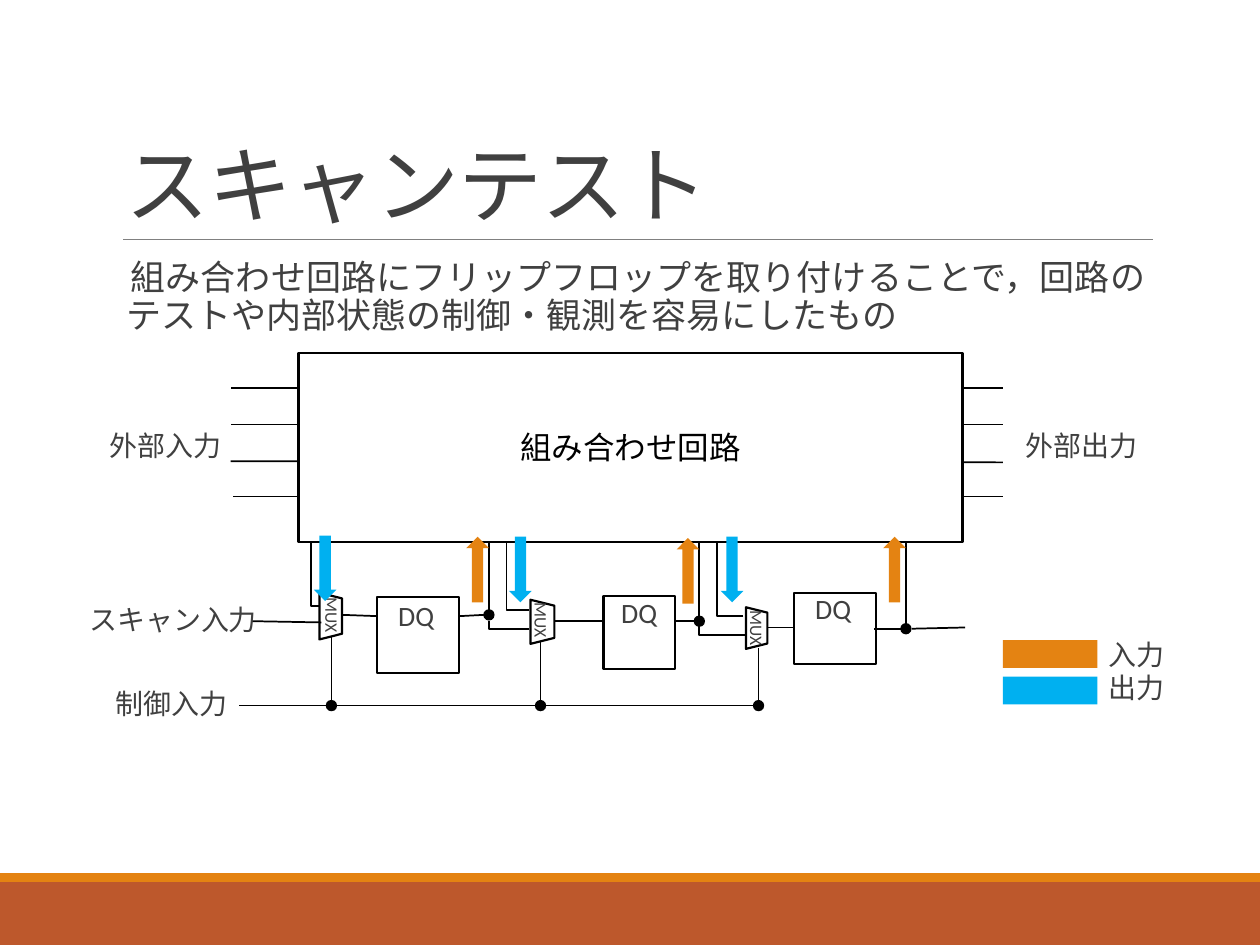
from dataclasses import dataclass
from typing import NamedTuple, Optional

from lxml import etree
from pptx import Presentation
from pptx.dml.color import RGBColor
from pptx.enum.shapes import MSO_CONNECTOR, MSO_SHAPE
from pptx.enum.text import MSO_ANCHOR, PP_ALIGN
from pptx.oxml.ns import qn
from pptx.util import Inches, Pt

RECT = MSO_SHAPE.RECTANGLE
TRAPEZOID = MSO_SHAPE.TRAPEZOID
DOT = MSO_SHAPE.FLOWCHART_CONNECTOR
ARROW = MSO_SHAPE.RIGHT_ARROW
STRAIGHT = MSO_CONNECTOR.STRAIGHT
ELBOW = MSO_CONNECTOR.ELBOW


@dataclass(frozen=True)
class Theme:
    font: str = "Calibri"
    ink: str = "000000"
    paper: str = "FFFFFF"
    text: str = "404040"
    rule: str = "808080"
    footer: str = "BD582C"
    input: str = "E48312"
    output: str = "00B0F0"
    title: float = 48
    body: float = 20
    block: float = 18
    label: float = 16
    mux: float = 10
    wire: float = 1
    outline: float = 1.25
    hairline: float = 0.5


class Box(NamedTuple):
    x: float
    y: float
    w: float
    h: float


class Wire(NamedTuple):
    x1: float
    y1: float
    x2: float
    y2: float


class Label(NamedTuple):
    text: str
    box: Box


class Stage(NamedTuple):
    mux: Box
    mux_label: Box
    dq: Box
    dq_label: Box
    feed: Wire
    mux_to_dq: Wire
    dq_out: Wire
    junction: tuple[float, float]
    riser_top: float
    control: tuple[float, float]
    control_top: float
    output_arrow: tuple[float, float]
    input_arrow: tuple[float, float]


T = Theme()
DOT_SIZE = 0.09
ARROW_W, ARROW_H = 0.52, 0.18
CONTROL_Y = 5.6

STAGES = [
    Stage(Box(2.44, 4.8, 0.37, 0.18), Box(2.4, 4.71, 0.39, 0.26),
          Box(2.99, 4.74, 0.65, 0.6), Box(3.05, 4.73, 0.64, 0.34),
          Wire(2.47, 4.17, 2.54, 4.81), Wire(2.72, 4.88, 2.99, 4.89),
          Wire(3.84, 4.88, 3.65, 4.89), (3.88, 4.88), 4.14,
          (2.63, 5.6), 5.05, (2.32, 4.42), (3.53, 4.43)),
    Stage(Box(4.13, 4.84, 0.35, 0.19), Box(4.06, 4.75, 0.39, 0.26),
          Box(4.79, 4.73, 0.57, 0.58), Box(4.82, 4.71, 0.64, 0.34),
          Wire(4.02, 4.27, 4.2, 4.84), Wire(4.4, 4.93, 4.79, 4.93),
          Wire(5.51, 4.93, 5.35, 4.93), (5.55, 4.93), 4.18,
          (4.29, 5.6), 5.09, (3.87, 4.43), (5.2, 4.44)),
    Stage(Box(5.84, 4.9, 0.33, 0.17), Box(5.77, 4.81, 0.39, 0.26),
          Box(6.3, 4.71, 0.65, 0.56), Box(6.36, 4.68, 0.64, 0.34),
          Wire(5.69, 4.31, 5.9, 4.89), Wire(6.09, 4.98, 6.3, 4.98),
          Wire(7.15, 4.99, 6.94, 4.99), (7.19, 4.99), 4.09,
          (6.02, 5.6), 5.14, (5.55, 4.43), (6.84, 4.43)),
]
SCAN_LINKS = [Wire(3.88, 4.93, 4.2, 4.99), Wire(5.55, 4.97, 5.91, 5.04)]
SCAN_ENDS = [Wire(2.55, 4.94, 2, 4.93), Wire(7.66, 4.98, 7.24, 4.99)]
BUSES = [Wire(7.96, 3.08, 1.83, 3.08), Wire(7.96, 3.37, 1.83, 3.37),
         Wire(7.96, 3.67, 1.83, 3.66), Wire(7.96, 3.94, 1.85, 3.94)]
LABELS = [
    Label("制御入力", Box(0.81, 5.43, 1.54, 0.34)),
    Label("スキャン入力", Box(0.6, 4.76, 1.54, 0.34)),
    Label("外部入力", Box(0.76, 3.38, 1.54, 0.34)),
    Label("外部出力", Box(8.03, 3.38, 1.54, 0.34)),
    Label("入力", Box(8.69, 5.04, 0.64, 0.34)),
    Label("出力", Box(8.69, 5.3, 0.64, 0.34)),
]


def add_shape(s, kind, box: Box, fill: Optional[str] = None,
              line: Optional[str] = None, rotation: float = 0):
    sp = s.shapes.add_shape(kind, *map(Inches, box))
    sp.shadow.inherit = False
    sp.rotation = rotation
    if fill:
        sp.fill.solid()
        sp.fill.fore_color.rgb = RGBColor.from_string(fill)
    else:
        sp.fill.background()
    if line:
        sp.line.color.rgb = RGBColor.from_string(line)
        sp.line.width = Pt(T.outline)
    else:
        sp.line.fill.background()
    return sp


def add_wire(s, wire: Wire, color: str = T.ink, width: float = T.wire, kind=STRAIGHT):
    c = s.shapes.add_connector(kind, *map(Inches, wire))
    c.line.color.rgb = RGBColor.from_string(color)
    c.line.width = Pt(width)
    etree.SubElement(c._element.spPr, qn("a:effectLst"))
    return c


def add_bend(s, wire: Wire) -> None:
    sp_pr = add_wire(s, wire, kind=ELBOW)._element.spPr
    sp_pr.find(qn("a:prstGeom")).set("prst", "bentConnector2")
    sp_pr.find(qn("a:xfrm")).set("rot", "10800000")


def add_dot(s, x: float, y: float) -> None:
    add_shape(s, DOT, Box(x - DOT_SIZE / 2, y - DOT_SIZE / 2, DOT_SIZE, DOT_SIZE), T.ink)


def set_text(sp, text: str, size: float, color: str):
    tf = sp.text_frame
    tf.word_wrap = True
    p = tf.paragraphs[0]
    p.text = text
    r = p.runs[0]
    r.font.name = T.font
    r.font.size = Pt(size)
    r.font.color.rgb = RGBColor.from_string(color)
    return tf, p, r


def add_label(s, label: Label, size: float = T.label, spacing: float = 0.9,
              rotation: float = 0) -> None:
    sp = s.shapes.add_textbox(*map(Inches, label.box))
    sp.rotation = rotation
    tf, p, _ = set_text(sp, label.text, size, T.text)
    tf.margin_left = tf.margin_right = 0
    p_pr = p._p.get_or_add_pPr()
    p_pr.set("marL", str(Inches(0.1)))
    p_pr.set("indent", str(-Inches(0.1)))
    etree.SubElement(p_pr, qn("a:buChar")).set("char", " ")
    p.line_spacing = spacing
    p.space_after = Pt(2)


def add_frame(s) -> None:
    add_shape(s, RECT, Box(0, 7, 10, 0.5), T.footer)
    add_shape(s, RECT, Box(0, 6.93, 10, 0.07), T.input)
    add_wire(s, Wire(0.98, 1.9, 9.15, 1.9), T.rule, T.hairline)
    sp = s.shapes.add_textbox(*map(Inches, Box(0.9, 0.31, 8.25, 1.59)))
    tf, p, r = set_text(sp, "スキャンテスト", T.title, T.text)
    tf.vertical_anchor = MSO_ANCHOR.BOTTOM
    p.line_spacing = 0.85
    r._r.get_or_add_rPr().set("spc", "-50")
    add_label(s, Label("組み合わせ回路にフリップフロップを取り付けることで，回路の"
                       "テストや内部状態の制御・観測を容易にしたもの",
                       Box(0.9, 2.02, 8.25, 0.78)), T.body)


def add_stage(s, stage: Stage) -> None:
    add_bend(s, stage.feed)
    add_shape(s, TRAPEZOID, stage.mux, line=T.ink, rotation=90)
    add_shape(s, RECT, stage.dq, line=T.ink)
    x, y = stage.junction
    cx, cy = stage.control
    for wire in (stage.mux_to_dq, stage.dq_out, Wire(x, y, x, stage.riser_top),
                 Wire(cx, stage.control_top, cx, cy)):
        add_wire(s, wire)
    add_dot(s, x, y)
    add_dot(s, cx, cy)


def add_stage_marks(s, stage: Stage) -> None:
    add_label(s, Label("MUX", stage.mux_label), T.mux, 0.7, 90)
    add_label(s, Label("DQ", stage.dq_label))
    for at, color, rotation in ((stage.output_arrow, T.output, 90),
                                (stage.input_arrow, T.input, 270)):
        add_shape(s, ARROW, Box(*at, ARROW_W, ARROW_H), color, rotation=rotation)


def main() -> None:
    prs = Presentation()
    prs.slide_width, prs.slide_height = Inches(10), Inches(7.5)
    s = prs.slides.add_slide(prs.slide_layouts[6])
    add_frame(s)
    taps = [1.9] + [stage.control[0] for stage in STAGES]
    control_line = [Wire(b, CONTROL_Y, a, CONTROL_Y) for a, b in zip(taps, taps[1:])]
    for wire in BUSES + SCAN_ENDS + control_line:
        add_wire(s, wire)
    for link in SCAN_LINKS:
        add_bend(s, link)
    for stage in STAGES:
        add_stage(s, stage)
    block = add_shape(s, RECT, Box(2.37, 2.8, 5.27, 1.5), T.paper, T.ink)
    tf, p, _ = set_text(block, "組み合わせ回路", T.block, T.ink)
    tf.vertical_anchor = MSO_ANCHOR.MIDDLE
    p.alignment = PP_ALIGN.CENTER
    for stage in STAGES:
        add_stage_marks(s, stage)
    for y, color in ((5.08, T.input), (5.37, T.output)):
        add_shape(s, RECT, Box(7.96, y, 0.75, 0.22), color)
    for label in LABELS:
        add_label(s, label)
    prs.save("out.pptx")


if __name__ == "__main__":
    main()
